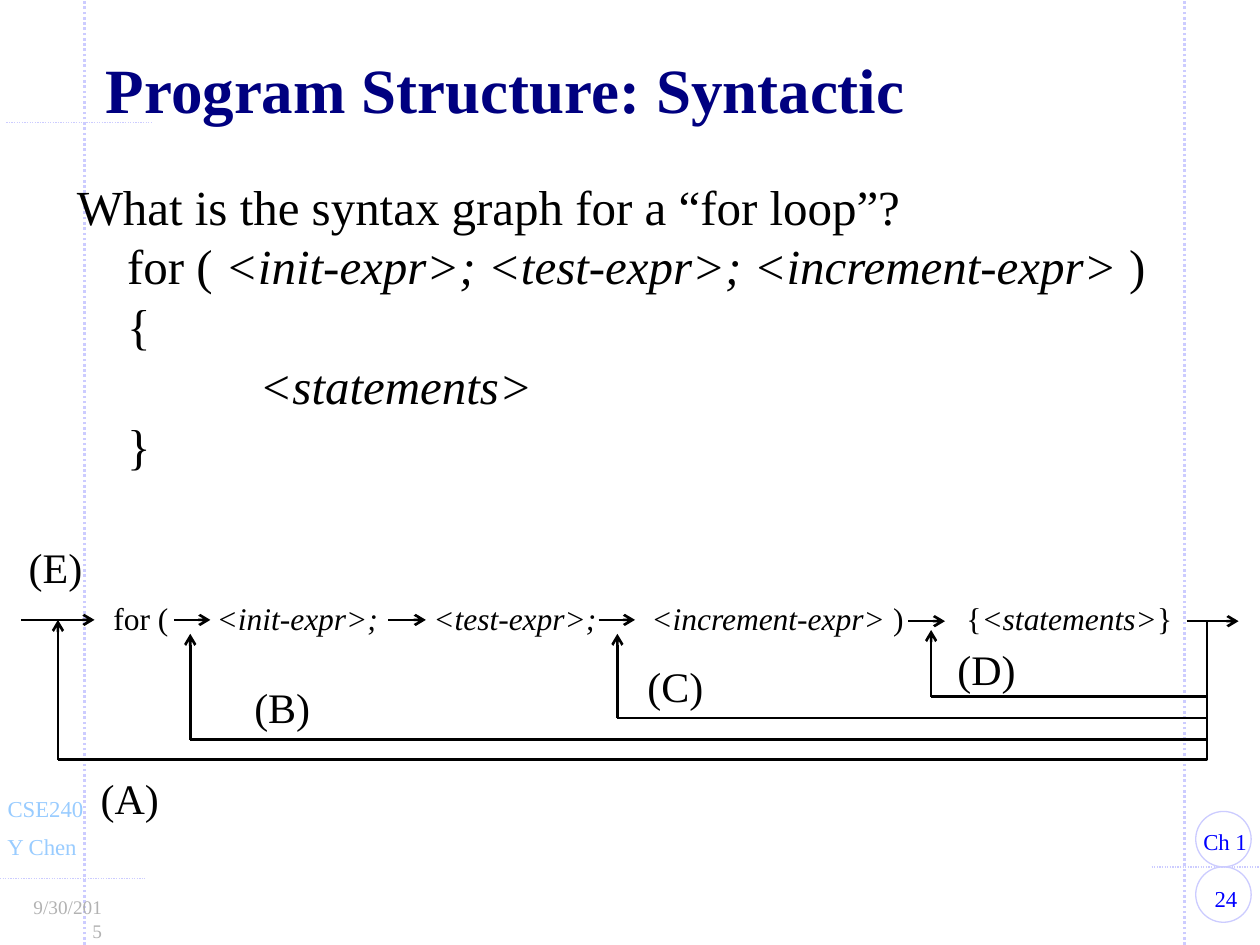
from typing import NamedTuple

import lxml.etree
import pptx
import pptx.dml.color
import pptx.enum.dml
import pptx.enum.shapes
import pptx.enum.text
import pptx.oxml.ns
import pptx.util

Inches = pptx.util.Inches
Pt = pptx.util.Pt
Align = pptx.enum.text.PP_ALIGN
Anchor = pptx.enum.text.MSO_ANCHOR

FONT = "Times New Roman"
COLORS = {
    "black": "000000",
    "title": "000080",
    "number": "0000FF",
    "course": "99CCFF",
    "date": "B2B2B2",
    "guide": "CCCCFF",
}


class Run(NamedTuple):
    text: str
    italic: bool = False


class Line(NamedTuple):
    runs: list[Run]
    margin: float = 0


class Label(NamedTuple):
    text: str
    left: float
    top: float
    width: float
    height: float
    size: float
    color: str
    align: Align = Align.LEFT
    right_inset: float = 0


class Node(NamedTuple):
    left: float
    width: float
    runs: list[Run]


class Segment(NamedTuple):
    x1: float
    y1: float
    x2: float
    y2: float
    width: float = 1.5


class Loop(NamedTuple):
    x: float
    bottom: float
    tip: float


BODY = [
    Line([Run("What is the syntax graph for a “for loop”?")]),
    Line([Run("for ( "), Run("<init-expr>; <test-expr>; <increment-expr> ", True), Run(")")], 0.4),
    Line([Run("{")], 0.4),
    Line([Run("<statements>", True)], 1.45),
    Line([Run("}")], 0.4),
]
NODES = [
    Node(0.9, 0.5, [Run("for (")]),
    Node(1.72, 1.4, [Run("<init-expr>;", True)]),
    Node(3.44, 1.4, [Run("<test-expr>;", True)]),
    Node(5.17, 2.2, [Run("<increment-expr> ", True), Run(")")]),
    Node(7.67, 1.8, [Run("{"), Run("<statements>", True), Run("}")]),
]
FLOW_ARROWS = [
    Segment(0.17, 4.92, 0.75, 4.92),
    Segment(1.38, 4.92, 1.67, 4.92),
    Segment(3.08, 4.92, 3.38, 4.92),
    Segment(4.75, 4.92, 5.04, 4.92),
    Segment(7.21, 4.93, 7.5, 4.93),
    Segment(9.42, 4.93, 9.83, 4.93),
]
EXIT_X, EXIT_Y = 9.58, 4.93
LOOPS = [Loop(7.39, 5.53, 5), Loop(4.9, 5.7, 5.03), Loop(1.51, 5.87, 5.03), Loop(0.46, 6.03, 4.92)]
LOOP_LABELS = [("(A)", 0.7, 6.08), ("(B)", 1.92, 5.36), ("(C)", 5.04, 5.19),
               ("(D)", 7.5, 5.06), ("(E)", 0.13, 4.25)]
GUIDES = [
    Segment(0.67, 7.5, 0.67, 0),
    Segment(9.4, 7.5, 9.4, 0),
    Segment(0, 6.97, 1.15, 6.97, 0.75),
    Segment(9.14, 6.88, 10, 6.88, 0.75),
    Segment(0.05, 0.97, 1.2, 0.97, 0.75),
]
FOOTER = [
    Label("24", 9.44, 6.97, 0.58, 0.32, 13, "number", Align.CENTER, 0.11),
    Label("Ch 1", 9.44, 6.52, 0.56, 0.32, 13, "number"),
    Label("Y Chen", -0.05, 6.56, 0.77, 0.32, 13, "course"),
    Label("CSE240", -0.05, 6.26, 0.81, 0.32, 13, "course"),
    Label("9/30/2015", 0.09, 7.06, 0.83, 0.29, 11, "date", Align.RIGHT, 0.11),
]


def rgb(name: str) -> pptx.dml.color.RGBColor:
    return pptx.dml.color.RGBColor.from_string(COLORS[name])


def add_text(slide, lines: list[Line], left: float, top: float, width: float, height: float, *,
             size: float, color: str = "black", bold: bool = False, align=Align.LEFT,
             anchor=Anchor.TOP, spacing: float | None = None, before: float = 0,
             left_inset: float = 0.11, right_inset: float = 0) -> None:
    shape = slide.shapes.add_textbox(Inches(left), Inches(top), Inches(width), Inches(height))
    frame = shape.text_frame
    frame.word_wrap = True
    frame.vertical_anchor = anchor
    frame.margin_left = Inches(left_inset)
    frame.margin_right = Inches(right_inset)
    for index, line in enumerate(lines):
        paragraph = frame.paragraphs[0] if index == 0 else frame.add_paragraph()
        paragraph.alignment = align
        paragraph.line_spacing = spacing
        paragraph.space_before = Pt(before)
        if line.margin:
            paragraph._p.get_or_add_pPr().set("marL", str(Inches(line.margin)))
        for part in line.runs:
            run = paragraph.add_run()
            run.text = part.text
            run.font.name = FONT
            run.font.size = Pt(size)
            run.font.bold = bold
            run.font.italic = part.italic
            run.font.color.rgb = rgb(color)


def add_line(slide, segment: Segment, color: str = "black", arrow: bool = False,
             dotted: bool = False) -> None:
    connector = slide.shapes.add_connector(
        pptx.enum.shapes.MSO_CONNECTOR.STRAIGHT,
        Inches(segment.x1), Inches(segment.y1), Inches(segment.x2), Inches(segment.y2))
    connector.line.color.rgb = rgb(color)
    connector.line.width = Pt(segment.width)
    if dotted:
        connector.line.dash_style = pptx.enum.dml.MSO_LINE.ROUND_DOT
    qn = pptx.oxml.ns.qn
    if arrow:
        lxml.etree.SubElement(connector.line._get_or_add_ln(), qn("a:tailEnd"), type="arrow")
    lxml.etree.SubElement(connector._element.spPr, qn("a:effectLst"))


def style_outline(shape, color: str, width: float) -> None:
    shape.shadow.inherit = False
    shape.fill.background()
    shape.line.color.rgb = rgb(color)
    shape.line.width = Pt(width)


def add_loop(slide, loop: Loop) -> None:
    """Draw the path from the graph's exit back to an earlier point."""
    builder = slide.shapes.build_freeform(Inches(EXIT_X), Inches(EXIT_Y))
    corners = [(EXIT_X, loop.bottom), (loop.x, loop.bottom)]
    builder.add_line_segments([(Inches(x), Inches(y)) for x, y in corners], close=False)
    style_outline(builder.convert_to_shape(), "black", 1.5)
    add_line(slide, Segment(loop.x, loop.bottom, loop.x, loop.tip), arrow=True)


def add_background(slide) -> None:
    for guide in GUIDES:
        add_line(slide, guide, "guide", dotted=True)
    for top in (6.88, 6.44):
        circle = slide.shapes.add_shape(pptx.enum.shapes.MSO_SHAPE.OVAL, Inches(9.49),
                                        Inches(top), Inches(0.44), Inches(0.44))
        style_outline(circle, "guide", 0.75)
    for label in FOOTER:
        add_text(slide, [Line([Run(label.text)])], label.left, label.top, label.width,
                 label.height, size=label.size, color=label.color, align=label.align,
                 right_inset=label.right_inset)


def add_syntax_graph(slide) -> None:
    for node in NODES:
        add_text(slide, [Line(node.runs)], node.left, 4.75, node.width, 0.35, size=18,
                 spacing=0.85, before=3.6, left_inset=0)
    for arrow in FLOW_ARROWS:
        add_line(slide, arrow, arrow=True)
    for loop in LOOPS:
        add_loop(slide, loop)
    for text, left, top in LOOP_LABELS:
        add_text(slide, [Line([Run(text)])], left, top, 0.67, 0.5, size=24, left_inset=0.1)


def main() -> None:
    presentation = pptx.Presentation()
    presentation.slide_width = Inches(10)
    presentation.slide_height = Inches(7.5)
    slide = presentation.slides.add_slide(presentation.slide_layouts[6])
    add_background(slide)
    add_text(slide, [Line([Run("Program Structure: Syntactic")])], 0.73, 0.44, 8.54, 0.62,
             size=36, color="title", bold=True, anchor=Anchor.MIDDLE, spacing=0.85, before=7.2)
    add_text(slide, BODY, 0.5, 1.42, 9, 3.08, size=28, spacing=0.85, before=5.6)
    add_syntax_graph(slide)
    presentation.save("out.pptx")


if __name__ == "__main__":
    main()
